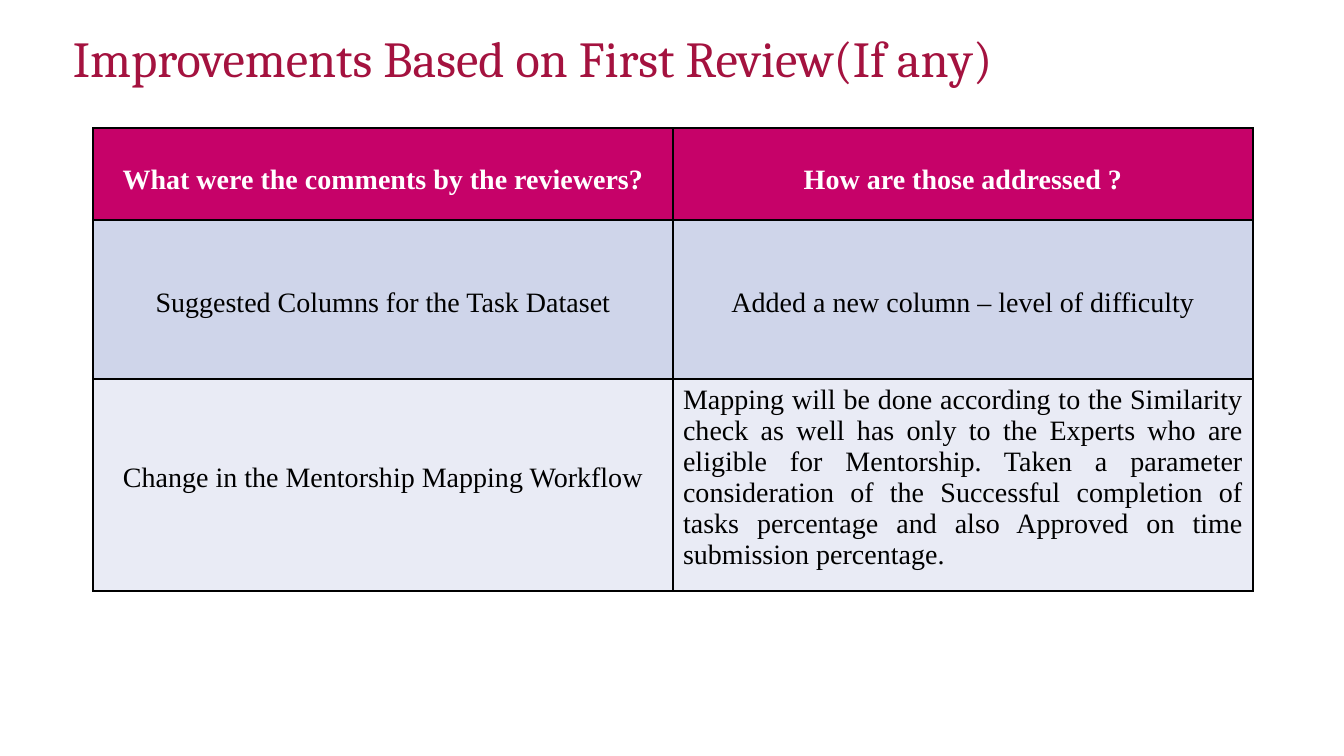
from lxml.etree import SubElement
from pptx import Presentation
from pptx.dml.color import RGBColor
from pptx.enum.text import MSO_ANCHOR, PP_ALIGN
from pptx.oxml.ns import qn
from pptx.util import Pt

TITLE = "Improvements Based on First Review(If any)"
ROWS = [
    ("What were the comments by the reviewers?", "How are those addressed ?"),
    ("Suggested Columns for the Task Dataset", "Added a new column – level of difficulty"),
    (
        "Change in the Mentorship Mapping Workflow",
        "Mapping will be done according to the Similarity check as well has only to "
        "the Experts who are eligible for Mentorship. Taken a parameter consideration "
        "of the Successful completion of tasks percentage and also Approved on time "
        "submission percentage.",
    ),
]
COLORS = {
    "title": "A4123F", "header": "C60269", "odd": "CFD5EA", "even": "E9EBF5",
    "light": "FFFFFF", "dark": "000000", "border": "000000",
}
ROW_STYLES = [
    {"height": 92, "fill": "header", "color": "light", "bold": True, "spacing": 2.0},
    {"height": 159, "fill": "odd", "color": "dark", "bold": False, "spacing": 3.0},
    {"height": 212, "fill": "even", "color": "dark", "bold": False, "spacing": 1.0},
]
SLIDE_WIDTH, SLIDE_HEIGHT = 1344, 756
TITLE_BOX = (63, 38, 1159, 46)
TABLE_LEFT, TABLE_TOP, COLUMN_WIDTH = 93, 128, 580
WORKFLOW_TOP_MARGIN = 84
EMU_PER_PX = 12192000 / SLIDE_WIDTH


def px(length):
    return round(length * EMU_PER_PX)


def set_all(target, values):
    for name, value in values.items():
        setattr(target, name, value)


def write(frame, text, color, font, paragraph_format):
    paragraph = frame.paragraphs[0]
    set_all(paragraph, paragraph_format)
    run = paragraph.add_run()
    run.text = text
    set_all(run.font, font)
    run.font.color.rgb = RGBColor.from_string(COLORS[color])


def add_borders(cell):
    properties = cell._tc.get_or_add_tcPr()
    for position, side in enumerate(("a:lnL", "a:lnR", "a:lnT", "a:lnB")):
        line = SubElement(properties, qn(side), w=str(Pt(1)))
        fill = SubElement(line, qn("a:solidFill"))
        SubElement(fill, qn("a:srgbClr"), val=COLORS["border"])
        properties.remove(line)
        properties.insert(position, line)


def add_title(slide):
    frame = slide.shapes.add_textbox(*map(px, TITLE_BOX)).text_frame
    set_all(frame, {"word_wrap": True, "vertical_anchor": MSO_ANCHOR.MIDDLE})
    write(frame, TITLE, "title", {"name": "Cambria", "size": Pt(36)}, {"line_spacing": 0.9})


def add_review_table(slide):
    height = sum(style["height"] for style in ROW_STYLES)
    columns = len(ROWS[0])
    box = (TABLE_LEFT, TABLE_TOP, COLUMN_WIDTH * columns, height)
    table = slide.shapes.add_table(len(ROWS), columns, *map(px, box)).table
    for row_index, (texts, style) in enumerate(zip(ROWS, ROW_STYLES)):
        table.rows[row_index].height = px(style["height"])
        font = {"name": "Times New Roman", "size": Pt(20), "bold": style["bold"]}
        for column_index, text in enumerate(texts):
            cell = table.cell(row_index, column_index)
            cell.fill.solid()
            cell.fill.fore_color.rgb = RGBColor.from_string(COLORS[style["fill"]])
            add_borders(cell)
            last = (row_index, column_index) == (len(ROWS) - 1, columns - 1)
            alignment = PP_ALIGN.JUSTIFY if last else PP_ALIGN.CENTER
            paragraph_format = {"alignment": alignment, "line_spacing": style["spacing"]}
            write(cell.text_frame, text, style["color"], font, paragraph_format)
    table.cell(len(ROWS) - 1, 0).margin_top = px(WORKFLOW_TOP_MARGIN)


def main():
    presentation = Presentation()
    set_all(presentation, {"slide_width": px(SLIDE_WIDTH), "slide_height": px(SLIDE_HEIGHT)})
    slide = presentation.slides.add_slide(presentation.slide_layouts[6])
    add_review_table(slide)
    add_title(slide)
    presentation.save("out.pptx")


if __name__ == "__main__":
    main()
